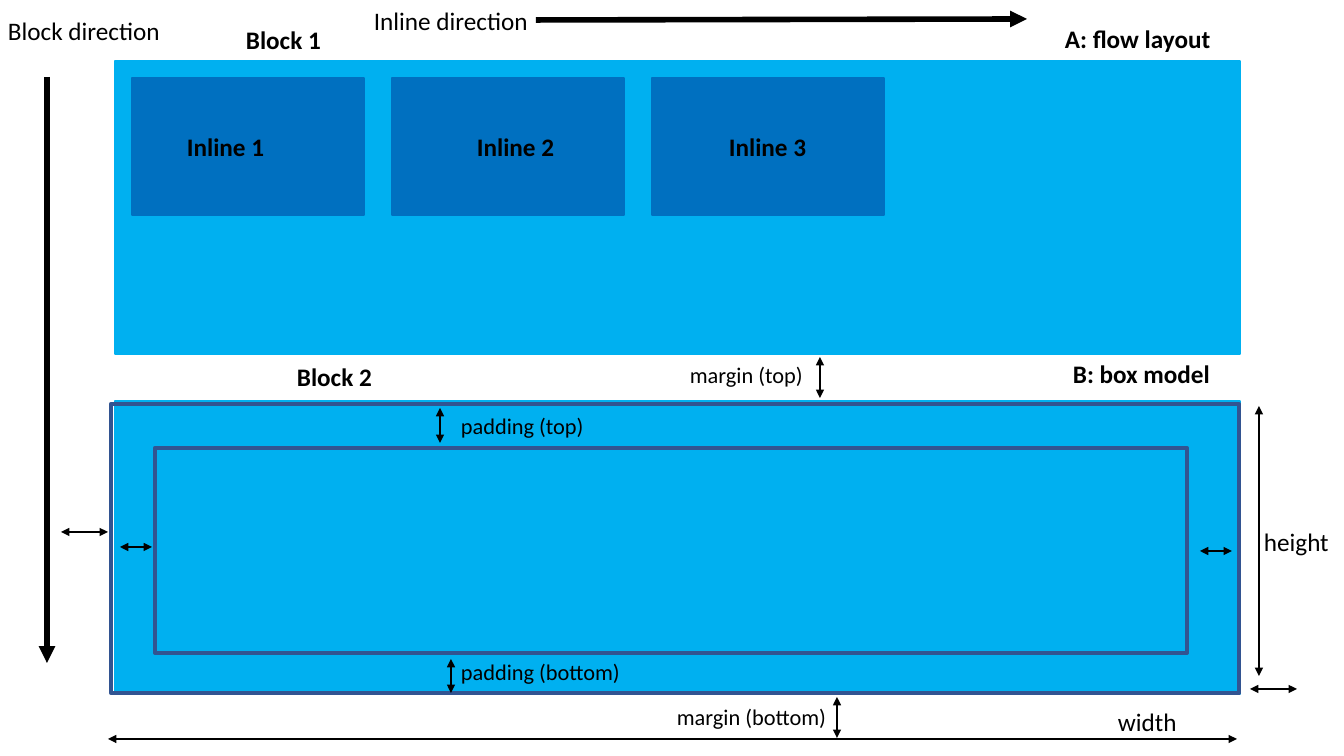
"""Build a slide that explains CSS flow layout and the box model."""
from lxml import etree
from pptx import Presentation
from pptx.dml.color import RGBColor
from pptx.enum.shapes import MSO_CONNECTOR, MSO_SHAPE
from pptx.oxml.ns import qn
from pptx.util import Emu, Pt

RECTANGLE = MSO_SHAPE.RECTANGLE
STRAIGHT = MSO_CONNECTOR.STRAIGHT
BLOCK_BLUE = RGBColor(0x00, 0xB0, 0xF0)
INLINE_BLUE = RGBColor(0x00, 0x70, 0xC0)
BORDER_BLUE = RGBColor(0x32, 0x54, 0x91)
BLACK = RGBColor(0x00, 0x00, 0x00)
FONT = "Calibri"
PIXEL = 914400 / 100.8


def emu(*pixels):
    return [Emu(round(value * PIXEL)) for value in pixels]


presentation = Presentation()
presentation.slide_width, presentation.slide_height = emu(1344, 756)
slide = presentation.slides.add_slide(presentation.slide_layouts[6])

block_boxes = [(115, top, 1125, 293) for top in (61, 401)]
inline_boxes = [(132 + 260 * column, 78, 232, 137) for column in range(3)]
border_boxes = [(111, 404, 1128, 289), (155, 448, 1032, 205)]
rectangle_groups = [
    (block_boxes, BLOCK_BLUE, BLOCK_BLUE, 1),
    (inline_boxes, INLINE_BLUE, INLINE_BLUE, 1),
    (border_boxes, None, BORDER_BLUE, 3),
]
for boxes, fill_color, line_color, line_width in rectangle_groups:
    for box in boxes:
        shape = slide.shapes.add_shape(RECTANGLE, *emu(*box))
        shape.shadow.inherit = False
        if fill_color is None:
            shape.fill.background()
        else:
            shape.fill.solid()
            shape.fill.fore_color.rgb = fill_color
        shape.line.color.rgb = line_color
        shape.line.width = Pt(line_width)

direction_arrows = [(536, 20, 1027, 19), (47, 77, 47, 663)]
measure_arrows = [
    (440, 408, 440, 443),
    (451, 659, 451, 693),
    (120, 547, 152, 547),
    (1200, 551, 1232, 551),
    (837, 738, 837, 697),
    (820, 398, 820, 357),
    (1250, 689, 1297, 689),
    (61, 532, 108, 532),
    (1259, 406, 1259, 676),
    (108, 739, 1237, 739),
]
arrow_groups = [
    (direction_arrows, 4, ["a:tailEnd"]),
    (measure_arrows, 2, ["a:headEnd", "a:tailEnd"]),
]
for arrows, line_width, arrowheads in arrow_groups:
    for arrow in arrows:
        connector = slide.shapes.add_connector(STRAIGHT, *emu(*arrow))
        connector.line.color.rgb = BLACK
        connector.line.width = Pt(line_width)
        for arrowhead in arrowheads:
            etree.SubElement(connector.line._get_or_add_ln(), qn(arrowhead), type="triangle")
        etree.SubElement(connector._element.spPr, qn("a:effectLst"))

labels = [
    ("Block direction", -2, 10, 174, 18, False),
    ("Inline direction", 364, 0, 176, 18, False),
    ("Block 1", 236, 19, 96, 18, True),
    ("A: flow layout", 1055, 18, 176, 18, True),
    ("Inline 1", 177, 126, 98, 18, True),
    ("Inline 2", 467, 126, 98, 18, True),
    ("Inline 3", 719, 126, 98, 18, True),
    ("Block 2", 287, 356, 96, 18, True),
    ("B: box model", 1063, 353, 176, 18, True),
    ("margin (top)", 680, 356, 134, 16, False),
    ("padding (top)", 451, 407, 158, 16, False),
    ("padding (bottom)", 451, 653, 201, 16, False),
    ("margin (bottom)", 667, 698, 201, 16, False),
    ("width", 1108, 701, 80, 18, False),
    ("height", 1254, 521, 86, 18, False),
]
for text, left, top, width, size, bold in labels:
    text_box = slide.shapes.add_textbox(*emu(left, top, width, 40 if size == 18 else 37))
    text_frame = text_box.text_frame
    text_frame.word_wrap = True
    text_frame.text = text
    font = text_frame.paragraphs[0].runs[0].font
    font.name = FONT
    font.size = Pt(size)
    font.bold = bold
    font.color.rgb = BLACK

presentation.save("out.pptx")
